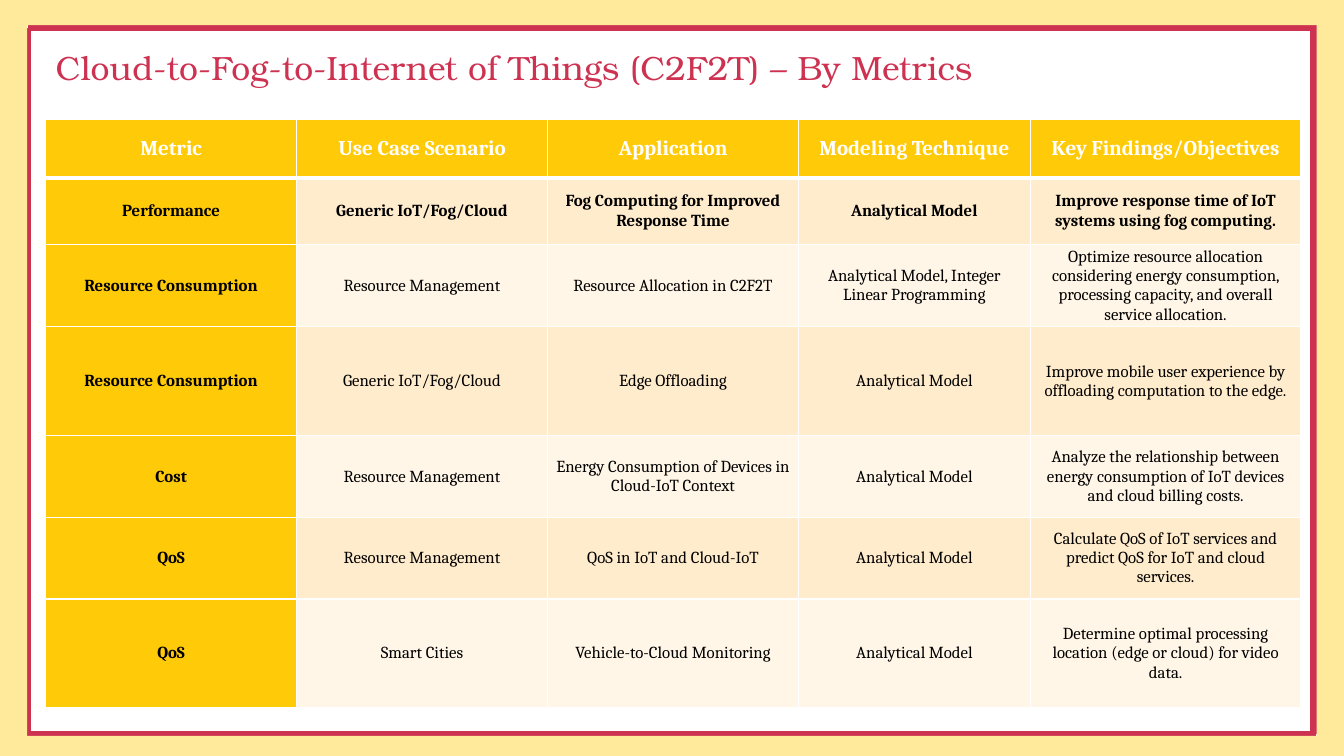
from lxml.etree import SubElement
from pptx import Presentation
from pptx.dml.color import RGBColor
from pptx.enum.shapes import MSO_CONNECTOR, MSO_SHAPE
from pptx.enum.text import MSO_ANCHOR, MSO_AUTO_SIZE, PP_ALIGN
from pptx.oxml.ns import qn
from pptx.util import Pt

CRIMSON = RGBColor(0xCE, 0x32, 0x51)
PALE_YELLOW = RGBColor(0xFF, 0xEA, 0x9C)
GOLD = RGBColor(0xFF, 0xCA, 0x08)
PEACH = RGBColor(0xFF, 0xEC, 0xCC)
CREAM = RGBColor(0xFF, 0xF6, 0xE7)
WHITE = RGBColor(0xFF, 0xFF, 0xFF)
BLACK = RGBColor(0, 0, 0)

SLIDE_WIDTH, SLIDE_HEIGHT = 960, 540
TITLE = "Cloud-to-Fog-to-Internet of Things (C2F2T) – By Metrics"
COLUMN_WIDTHS = [179.28, 179.28, 179.28, 165.6, 193.3]
ROW_HEIGHTS = [41.76, 47.52, 59.04, 77.76, 58.32, 58.32, 77.76]
ROWS = [
    ("Metric", "Use Case Scenario", "Application", "Modeling Technique",
     "Key Findings/Objectives"),
    ("Performance", "Generic IoT/Fog/Cloud",
     "Fog Computing for Improved Response Time", "Analytical Model",
     "Improve response time of IoT systems using fog computing."),
    ("Resource Consumption", "Resource Management",
     "Resource Allocation in C2F2T",
     "Analytical Model, Integer Linear Programming",
     "Optimize resource allocation considering energy consumption, "
     "processing capacity, and overall service allocation."),
    ("Resource Consumption", "Generic IoT/Fog/Cloud", "Edge Offloading",
     "Analytical Model",
     "Improve mobile user experience by offloading computation to the edge."),
    ("Cost", "Resource Management",
     "Energy Consumption of Devices in Cloud-IoT Context",
     "Analytical Model",
     "Analyze the relationship between energy consumption of IoT devices "
     "and cloud billing costs."),
    ("QoS", "Resource Management", "QoS in IoT and Cloud-IoT",
     "Analytical Model",
     "Calculate QoS of IoT services and predict QoS for IoT and cloud "
     "services."),
    ("QoS", "Smart Cities", "Vehicle-to-Cloud Monitoring",
     "Analytical Model",
     "Determine optimal processing location (edge or cloud) for video data."),
]


def add_frame(slide, left, top, width, height):
    """Draw the four crimson frame lines around the given box."""
    right, bottom = left + width, top + height
    overhang = 2
    for begin_x, begin_y, end_x, end_y in (
        (left - overhang, bottom, right + overhang, bottom),
        (left, top, left, bottom + overhang),
        (left, top, right + overhang, top),
        (right, top - overhang, right, bottom),
    ):
        line = slide.shapes.add_connector(
            MSO_CONNECTOR.STRAIGHT, Pt(begin_x), Pt(begin_y), Pt(end_x), Pt(end_y))
        line.line.color.rgb = CRIMSON
        line.line.width = Pt(4.5)
        SubElement(line._element.spPr, qn("a:effectLst"))


def add_margin_bands(slide, width, height):
    """Fill the outer margins of the slide with pale yellow bands."""
    top_band, bottom_band, side_band = 18, 14.4, 19.44
    side_height = height - top_band - bottom_band
    for left, top, band_width, band_height in (
        (0, 0, width, top_band),
        (0, height - bottom_band, width, bottom_band),
        (width - side_band, top_band, side_band, side_height),
        (0, top_band, side_band, side_height),
    ):
        band = slide.shapes.add_shape(
            MSO_SHAPE.RECTANGLE, Pt(left), Pt(top), Pt(band_width), Pt(band_height))
        band.shadow.inherit = False
        band.fill.solid()
        band.fill.fore_color.rgb = PALE_YELLOW
        band.line.fill.background()


def set_title(slide, left, top, width, height):
    """Place and format the title placeholder in the given box."""
    title = slide.shapes.title
    title.left, title.top = Pt(left), Pt(top)
    title.width, title.height = Pt(width), Pt(height)
    text_frame = title.text_frame
    text_frame.text = TITLE
    text_frame.auto_size = MSO_AUTO_SIZE.NONE
    text_frame.word_wrap = True
    text_frame.vertical_anchor = MSO_ANCHOR.MIDDLE
    paragraph = text_frame.paragraphs[0]
    paragraph.alignment = PP_ALIGN.LEFT
    paragraph.line_spacing = 0.9
    font = paragraph.runs[0].font
    font.name, font.size = "TeX Gyre Bonum", Pt(24)
    font.color.rgb = CRIMSON


def set_borders(cell, top, bottom):
    """Give the cell white borders with the given top and bottom widths."""
    properties = cell._tc.get_or_add_tcPr()
    for side, width in (("L", 1), ("R", 1), ("T", top), ("B", bottom)):
        border = SubElement(properties, qn(f"a:ln{side}"), w=str(Pt(width)))
        fill = SubElement(border, qn("a:solidFill"))
        SubElement(fill, qn("a:srgbClr"), val=str(WHITE))


def format_cell(cell, text, row, column):
    """Write one table cell and style it by its row and column."""
    is_header = row == 0
    set_borders(cell, 3 if row == 1 else 1, 3 if is_header else 1)
    cell.fill.solid()
    if is_header or column == 0:
        cell.fill.fore_color.rgb = GOLD
    else:
        cell.fill.fore_color.rgb = PEACH if row % 2 else CREAM
    cell.margin_left = cell.margin_right = Pt(5)
    cell.margin_top = cell.margin_bottom = 0
    cell.vertical_anchor = MSO_ANCHOR.MIDDLE
    cell.text_frame.text = text
    paragraph = cell.text_frame.paragraphs[0]
    paragraph.alignment = PP_ALIGN.CENTER
    font = paragraph.runs[0].font
    font.name = "Cambria"
    font.size = Pt(15 if is_header else 12)
    font.bold = row <= 1 or column == 0
    font.color.rgb = WHITE if is_header else BLACK


def add_metrics_table(slide, left, top, width, height):
    """Add the table of metrics in the given box."""
    table = slide.shapes.add_table(
        len(ROWS), len(COLUMN_WIDTHS), Pt(left), Pt(top), Pt(width), Pt(height)).table
    for column, column_width in zip(table.columns, COLUMN_WIDTHS):
        column.width = Pt(column_width)
    for row, row_height in zip(table.rows, ROW_HEIGHTS):
        row.height = Pt(row_height)
    for row, texts in enumerate(ROWS):
        for column, text in enumerate(texts):
            format_cell(table.cell(row, column), text, row, column)


def main():
    """Build the slide and save the presentation."""
    presentation = Presentation()
    presentation.slide_width = Pt(SLIDE_WIDTH)
    presentation.slide_height = Pt(SLIDE_HEIGHT)
    slide = presentation.slides.add_slide(presentation.slide_layouts[5])
    add_frame(slide, 20.16, 20.16, 918, 504)
    add_margin_bands(slide, SLIDE_WIDTH, SLIDE_HEIGHT)
    set_title(slide, 32.6, 25.2, 896.4, 49.68)
    add_metrics_table(slide, 32.6, 85.2, sum(COLUMN_WIDTHS), sum(ROW_HEIGHTS))
    presentation.save("out.pptx")


if __name__ == "__main__":
    main()
